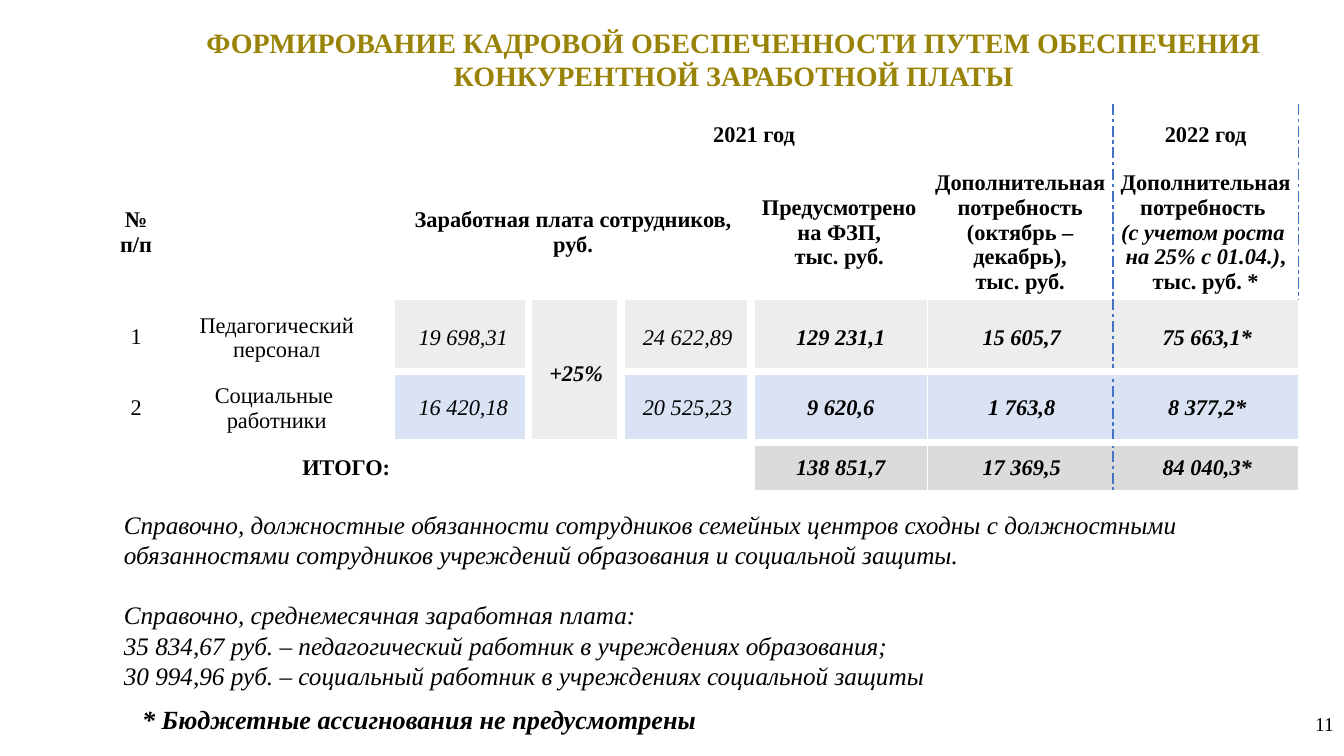
from lxml.etree import SubElement
from pptx import Presentation
from pptx.dml.color import RGBColor
from pptx.enum.text import MSO_ANCHOR, PP_ALIGN
from pptx.oxml.ns import qn
from pptx.util import Inches, Pt

COLOURS = {"title": "998307", "text": "000000", "gap": "FFFFFF", "divider": "4472C4",
           "teachers": "EDEDED", "social": "DAE3F3", "total": "DBDBDB"}
FONT = "Times New Roman"
NO_STYLE = "{2D5ABB26-0587-4C30-8999-92F81FD0307C}"

deck = Presentation()
deck.slide_width, deck.slide_height = Inches(13.33), Inches(7.5)
slide = deck.slides.add_slide(deck.slide_layouts[6])


def share(left, top, width, height):
    """Turn percentages of the slide into a box."""
    across, down = deck.slide_width / 100, deck.slide_height / 100
    return [int(left * across), int(top * down), int(width * across), int(height * down)]


def write(frame, text, size=16, colour="text", bold=False, italic=False, align=PP_ALIGN.CENTER,
          anchor=MSO_ANCHOR.TOP, spacing=None, gap_after=()):
    """Each line is a paragraph; a line may be a list of (text, italic) pieces."""
    frame.word_wrap = True
    frame.vertical_anchor = anchor
    for number, line in enumerate(text.split("\n") if isinstance(text, str) else text):
        paragraph = frame.paragraphs[0] if number == 0 else frame.add_paragraph()
        paragraph.alignment = align
        if spacing:
            paragraph.line_spacing = spacing
        if number in gap_after:
            paragraph.space_after = Pt(size * 1.2)
        for words, slanted in [(line, italic)] if isinstance(line, str) else line:
            run = paragraph.add_run()
            run.text = words
            run.font.name, run.font.size = FONT, Pt(size)
            run.font.bold, run.font.italic = bold, slanted
            run.font.color.rgb = RGBColor.from_string(COLOURS[colour])


def text_region(box, text, **style):
    write(slide.shapes.add_textbox(*box).text_frame, text, **style)


# Salary table: column and row weights within its box
COLUMNS = [0.38, 2.38, 1.32, 0.92, 1.29, 1.75, 1.84, 1.84]
ROWS = [0.6, 1.26, 0.71, 0.71, 0.47]
MERGES = [((0, 2), (0, 6)), ((1, 2), (1, 4)), ((2, 3), (3, 3))]
FILLS = {2: "teachers", 3: "social", 4: "total"}
HEADINGS = {
    (0, 2): "2021 год", (0, 7): "2022 год", (1, 0): "№ п/п",
    (1, 2): "Заработная плата сотрудников, руб.",
    (1, 5): "Предусмотрено на ФЗП,\nтыс. руб.",
    (1, 6): "Дополнительная потребность (октябрь – декабрь),\nтыс. руб.",
    (1, 7): ["Дополнительная", "потребность ", [("(с учетом роста ", True)],
             [("на 25% с 01.04.)", True), (",", False)], "тыс. руб. *"],
}
STAFF = [
    ["1", "Педагогический персонал", "19 698,31", "+25%", "24 622,89", "129 231,1", "15 605,7", "75 663,1*"],
    ["2", "Социальные \nработники", "16 420,18", "", "20 525,23", "9 620,6", "1 763,8", "8 377,2*"],
    ["", "ИТОГО:", "", "", "", "138 851,7", "17 369,5", "84 040,3*"],
]


def column_edge(row, edge):
    """Line on the boundary to the left of column number `edge`."""
    if edge == 7:
        return "divider", 1.5, "sysDashDot"
    if edge == 6 and row >= 1:
        return "gap", 1, "solid"
    if edge in (3, 4, 5) and row >= 2:
        return "gap", 6, "solid"
    return None


def row_edge(edge, column):
    """Line on the boundary above row number `edge`."""
    inside_merge = edge == 3 and column == 3
    return ("gap", 6, "solid") if edge in (3, 4) and column >= 2 and not inside_merge else None


def draw_borders(cell, row, column):
    sides = {"a:lnL": column_edge(row, column), "a:lnR": column_edge(row, column + 1),
             "a:lnT": row_edge(row, column), "a:lnB": row_edge(row + 1, column)}
    if (row, column) == (0, 2):
        sides["a:lnR"] = column_edge(0, 7)
    if (row, column) == (2, 3):
        sides["a:lnB"] = row_edge(4, 3)
    properties = cell._tc.get_or_add_tcPr()
    for tag, edge in sides.items():
        if edge:
            colour, width, dash = edge
            line = SubElement(properties, qn(tag), w=str(Pt(width)))
            paint = SubElement(line, qn("a:solidFill"))
            SubElement(paint, qn("a:srgbClr"), val=COLOURS[colour])
            SubElement(line, qn("a:prstDash"), val=dash)


def cell_content(row, column):
    """Text and format of one cell."""
    if row < 2:
        return HEADINGS.get((row, column), ""), {"bold": True}
    total = row == 4
    align = PP_ALIGN.RIGHT if total and column == 1 else PP_ALIGN.CENTER
    bold = column in (3, 5, 6, 7) or total
    return STAFF[row - 2][column], {"bold": bold, "italic": column >= 2, "align": align}


def set_margins(cell, row, column):
    if row < 2:
        margins = 0.01, 0.01, 0.01, 0
    elif column == 0:
        margins = 0, 0.05, 0, 0.03
    else:
        margins = 0.08, 0.05, 0.05, 0 if row == 2 else 0.03
    cell.margin_left, cell.margin_top, cell.margin_right, cell.margin_bottom = map(Inches, margins)


def salary_table(box):
    _, _, width, height = box
    table = slide.shapes.add_table(len(ROWS), len(COLUMNS), *box).table
    table._tbl.tblPr.find(qn("a:tableStyleId")).text = NO_STYLE
    table.first_row = table.horz_banding = False
    for column, weight in zip(table.columns, COLUMNS):
        column.width = int(width * weight / sum(COLUMNS))
    for row, weight in zip(table.rows, ROWS):
        row.height = int(height * weight / sum(ROWS))
    for (top, left), (bottom, right) in MERGES:
        table.cell(top, left).merge(table.cell(bottom, right))
    for row in range(len(ROWS)):
        for column in range(len(COLUMNS)):
            cell = table.cell(row, column)
            set_margins(cell, row, column)
            draw_borders(cell, row, column)
            if row >= 2 and column >= 2:
                empty_total = row == 4 and column < 5
                cell.fill.solid()
                cell.fill.fore_color.rgb = RGBColor.from_string(
                    COLOURS["gap" if empty_total else FILLS[row]])
            else:
                cell.fill.background()
            content, style = cell_content(row, column)
            cell.vertical_anchor = MSO_ANCHOR.MIDDLE
            if content:
                write(cell.text_frame, content, anchor=None, **style)


# Title
text_region(share(10.05, 2.67, 89.05, 9.47),
            "ФОРМИРОВАНИЕ КАДРОВОЙ ОБЕСПЕЧЕННОСТИ ПУТЕМ ОБЕСПЕЧЕНИЯ КОНКУРЕНТНОЙ ЗАРАБОТНОЙ ПЛАТЫ",
            size=20, colour="title", bold=True)

# Salaries and funding
salary_table(share(8.7, 13.73, 87.92, 50))

# Reference notes
text_region(share(8.48, 66.67, 87.92, 25.6),
            "Справочно, должностные обязанности сотрудников семейных центров сходны с должностными "
            "обязанностями сотрудников учреждений образования и социальной защиты.\n"
            "Справочно, среднемесячная заработная плата:\n"
            "35 834,67 руб. – педагогический работник в учреждениях образования;\n"
            "30 994,96 руб. – социальный работник в учреждениях социальной защиты",
            size=18, italic=True, align=PP_ALIGN.LEFT, gap_after=(0,))

# Footnote and page number
text_region(share(9.83, 92.27, 45.09, 5.33), "* Бюджетные ассигнования не предусмотрены",
            size=18.7, bold=True, italic=True, align=PP_ALIGN.LEFT, spacing=Pt(22.7))
text_region(share(75.32, 93.07, 24.68, 5.33), "11", size=14, align=PP_ALIGN.RIGHT,
            anchor=MSO_ANCHOR.MIDDLE)

deck.save("out.pptx")
